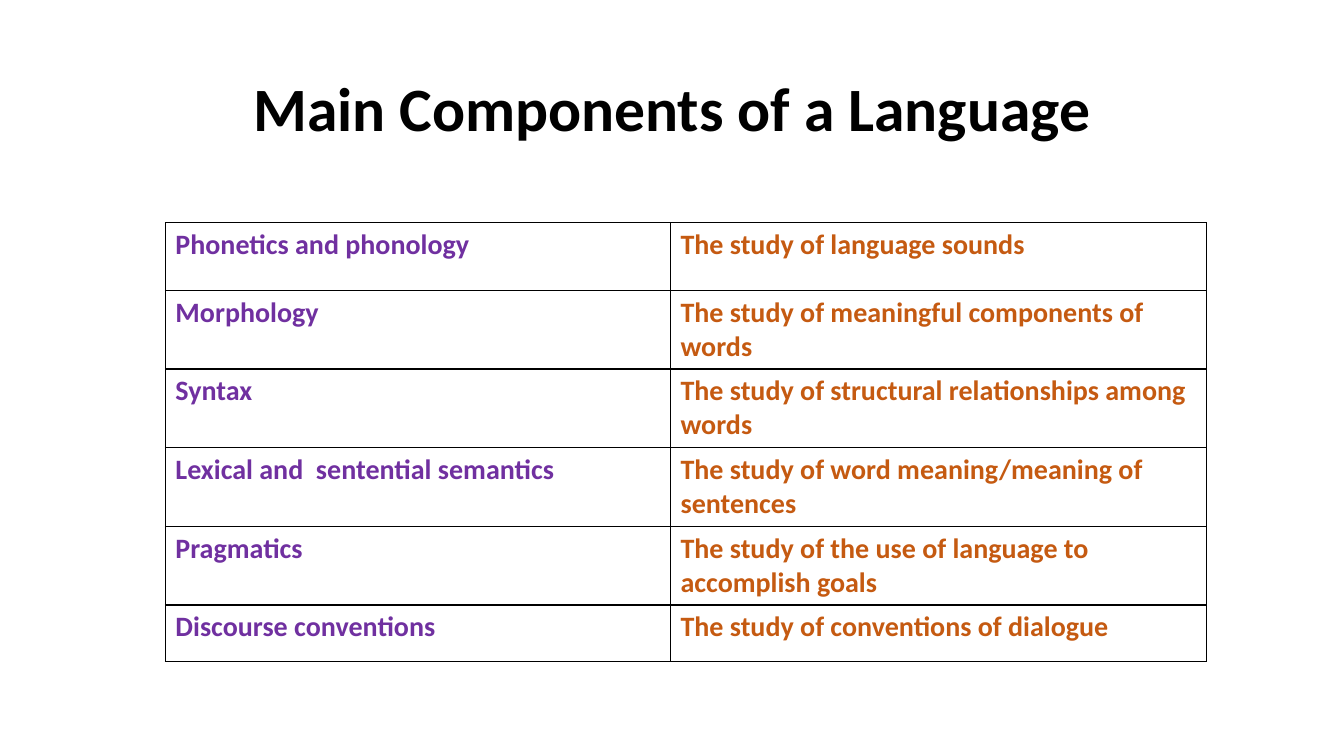
from pptx import Presentation
from pptx import util as u
from pptx.dml.color import RGBColor
from pptx.enum import text
from pptx.oxml import parse_xml
from pptx.oxml.ns import nsdecls

BLACK = RGBColor(0x00, 0x00, 0x00)
WHITE = RGBColor(0xFF, 0xFF, 0xFF)
PURPLE = RGBColor(0x70, 0x30, 0xA0)
ORANGE = RGBColor(0xC5, 0x5A, 0x11)
FONT = "Calibri"

TITLE_BOX = (0.92, 0.6, 11.5, 1.01)
TABLE_BOX = (1.64, 2.21, 10.33, 4.35)
COLUMN_WIDTHS = (5.01, 5.32)
ROW_HEIGHTS = (0.67, 0.78, 0.78, 0.78, 0.78, 0.56)
COMPONENTS = [
    ("Phonetics and phonology", "The study of language sounds"),
    ("Morphology", "The study of meaningful components of words"),
    ("Syntax", "The study of structural relationships among words"),
    ("Lexical and  sentential semantics", "The study of word meaning/meaning of sentences"),
    ("Pragmatics", "The study of the use of language to accomplish goals"),
    ("Discourse conventions", "The study of conventions of dialogue"),
]


def add_span(para, words, size, color):
    span = para.add_run()
    span.text = words
    span.font.name = FONT
    span.font.size = u.Pt(size)
    span.font.bold = True
    span.font.color.rgb = color


def set_borders(cell):
    """Draw a thin black line on all four sides; must precede the cell's fill."""
    properties = cell._tc.get_or_add_tcPr()
    for side in ("lnL", "lnR", "lnT", "lnB"):
        properties.append(parse_xml(
            f'<a:{side} {nsdecls("a")} w="{u.Pt(1)}"><a:solidFill>'
            f'<a:srgbClr val="{BLACK}"/></a:solidFill></a:{side}>'))


def place_title(page, box):
    title = page.shapes.title
    title.left, title.top, title.width, title.height = map(u.Inches, box)
    frame = title.text_frame
    frame.word_wrap = True
    frame.vertical_anchor = text.MSO_ANCHOR.MIDDLE
    para = frame.paragraphs[0]
    para.alignment = text.PP_ALIGN.CENTER
    para.line_spacing = 0.9
    add_span(para, "Main Components of a Language", 44, BLACK)


def place_components_table(page, box):
    table = page.shapes.add_table(
        len(COMPONENTS), len(COLUMN_WIDTHS), *map(u.Inches, box)).table
    table.first_row = table.horz_banding = False
    for column, width in zip(table.columns, COLUMN_WIDTHS):
        column.width = u.Inches(width)
    for row, height, words in zip(table.rows, ROW_HEIGHTS, COMPONENTS):
        row.height = u.Inches(height)
        for cell, entry, color in zip(row.cells, words, (PURPLE, ORANGE)):
            set_borders(cell)
            cell.fill.solid()
            cell.fill.fore_color.rgb = WHITE
            add_span(cell.text_frame.paragraphs[0], entry, 20, color)


def main():
    deck = Presentation()
    deck.slide_width, deck.slide_height = u.Inches(13.33), u.Inches(7.5)
    page = deck.slides.add_slide(deck.slide_layouts.get_by_name("Title Only"))
    place_title(page, TITLE_BOX)
    place_components_table(page, TABLE_BOX)
    deck.save("out.pptx")


if __name__ == "__main__":
    main()
